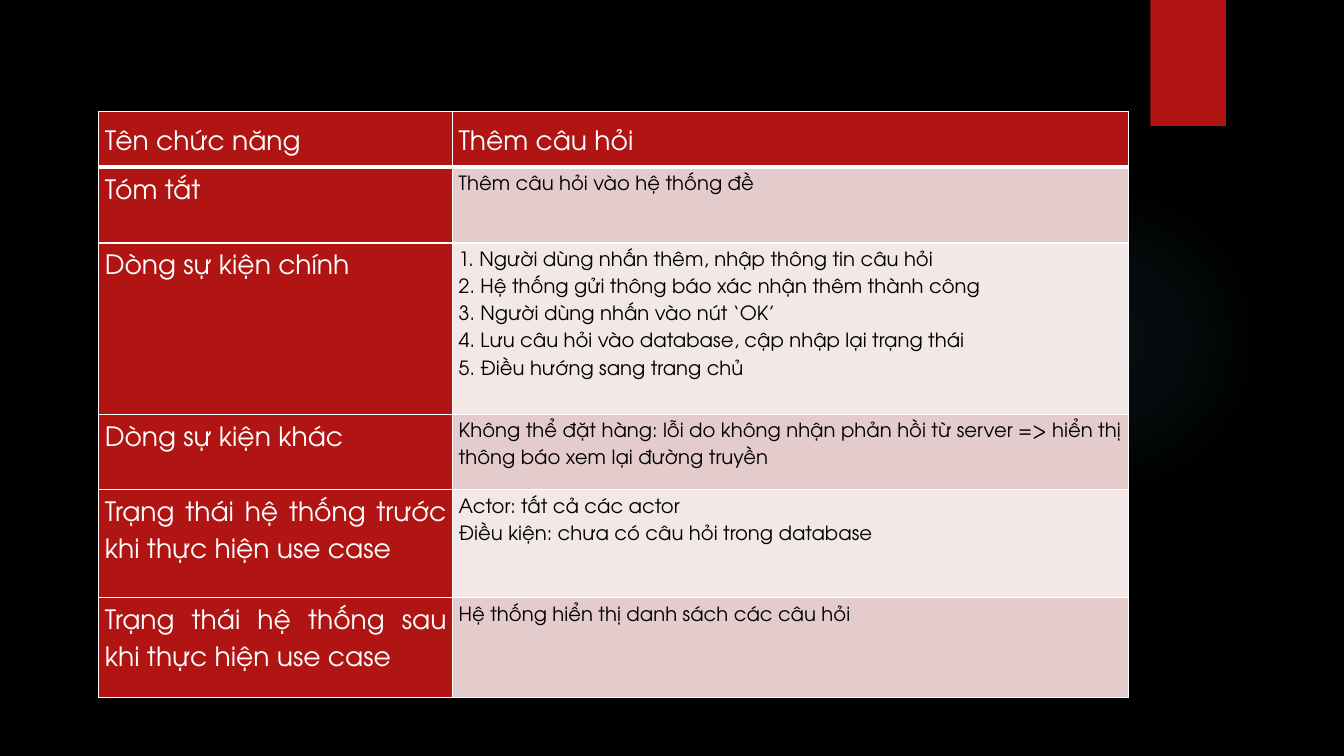
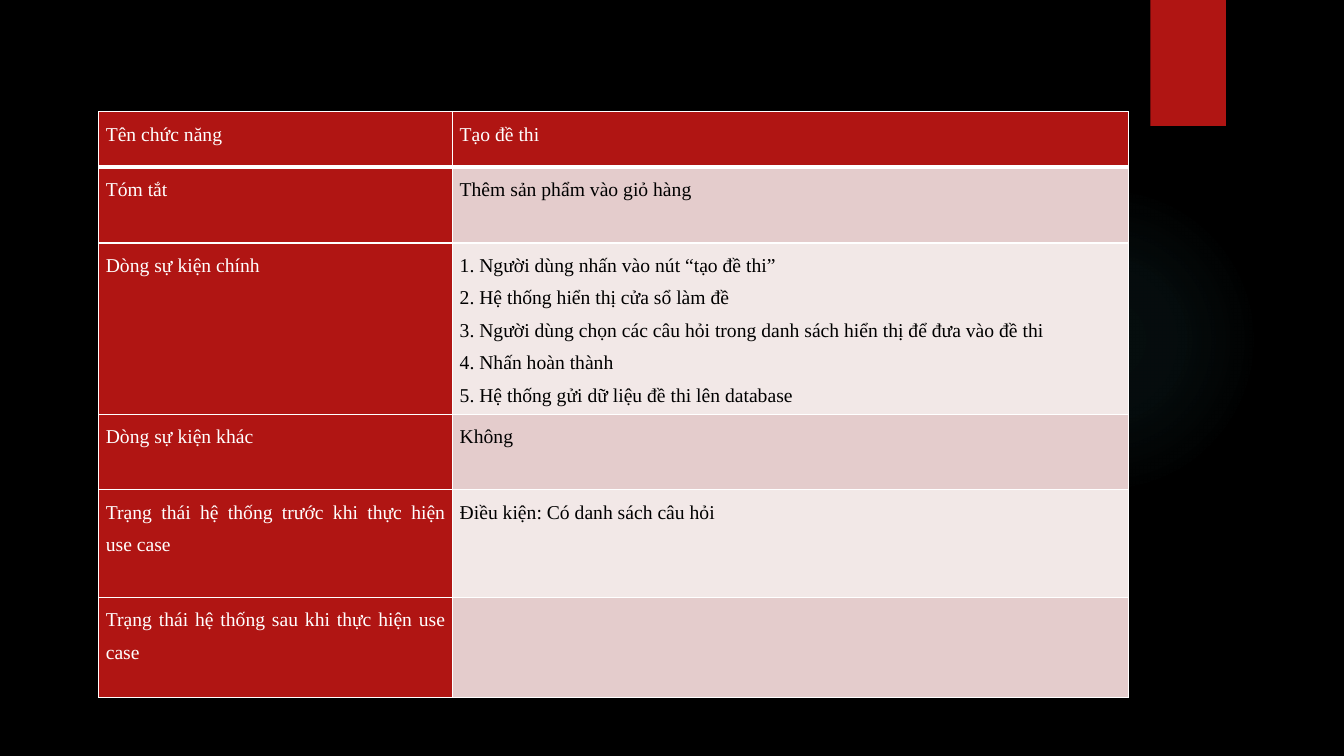
from dataclasses import dataclass

from pptx import Presentation
from pptx.dml.color import RGBColor
from pptx.enum import shapes, text
from pptx.oxml import parse_xml
from pptx.oxml.ns import nsdecls
from pptx.util import Inches, Pt


@dataclass(frozen=True)
class Theme:
    background: str = "000000"
    red: str = "B01513"
    glow: str = "50B9C1"
    white: str = "FFFFFF"
    black: str = "000000"
    bands: tuple = ("E4CCCC", "F2E8E7")
    line: float = 1
    header_line: float = 3
    spacing: float = 1.5


theme = Theme()

LABELS = [
    "Tên chức năng",
    "Tóm tắt",
    "Dòng sự kiện chính",
    "Dòng sự kiện khác",
    "Trạng thái hệ thống trước khi thực hiện use case",
    "Trạng thái hệ thống sau khi thực hiện use case",
]
COLS = [3.51, 6.7]
ROWS = [0.55, 0.75, 1.7, 0.75, 1.07, 0.99]

USE_CASES = [
    {
        "font": "TeX Gyre Adventor",
        "label_size": 19,
        "size": 14,
        "insets": (0.06, 0, 0.06, 0.12),
        "header_anchor": text.MSO_ANCHOR.BOTTOM,
        "values": [
            ["Thêm câu hỏi"],
            ["Thêm câu hỏi vào hệ thống đề"],
            [
                "1. Người dùng nhấn thêm, nhập thông tin câu hỏi",
                "2. Hệ thống gửi thông báo xác nhận thêm thành công",
                "3. Người dùng nhấn vào nút ‘OK’",
                "4. Lưu câu hỏi vào database, cập nhập lại trạng thái",
                "5. Điều hướng sang trang chủ",
            ],
            ["Không thể đặt hàng: lỗi do không nhận phản hồi từ server => "
             "hiển thị thông báo xem lại đường truyền"],
            ["Actor: tất cả các actor", "Điều kiện: chưa có câu hỏi trong database"],
            ["Hệ thống hiển thị danh sách các câu hỏi"],
        ],
    },
    {
        "font": "Times New Roman",
        "label_size": 14,
        "size": 14,
        "insets": (0.07, 0.01, 0.07, 0),
        "header_anchor": text.MSO_ANCHOR.TOP,
        "values": [
            ["Tạo đề thi"],
            ["Thêm sản phẩm vào giỏ hàng"],
            [
                "1. Người dùng nhấn vào nút “tạo đề thi”",
                "2. Hệ thống hiển thị cửa sổ làm đề",
                "3. Người dùng chọn các câu hỏi trong danh sách hiển thị để đưa vào đề thi",
                "4. Nhấn hoàn thành",
                "5. Hệ thống gửi dữ liệu đề thi lên database",
            ],
            ["Không"],
            ["Điều kiện: Có danh sách câu hỏi"],
            [],
        ],
    },
]


def add_master_shape(s, master, kind, left, top, width, height):
    sp = s.shapes.add_shape(kind, Inches(left), Inches(top), Inches(width), Inches(height))
    sp.shadow.inherit = False
    sp.line.fill.background()
    master.shapes.element.append(sp.element)
    return sp


def format_cell(cell, fill, top_width, bottom_width):
    tc_pr = cell._tc.get_or_add_tcPr()
    widths = {"lnL": theme.line, "lnR": theme.line, "lnT": top_width, "lnB": bottom_width}
    for side, width in widths.items():
        tc_pr.append(parse_xml(
            f'<a:{side} {nsdecls("a")} w="{Pt(width)}"><a:solidFill>'
            f'<a:srgbClr val="{theme.white}"/></a:solidFill></a:{side}>'))
    cell.fill.solid()
    cell.fill.fore_color.rgb = RGBColor.from_string(fill)


prs = Presentation()
prs.slide_width = Inches(13.33)
prs.slide_height = Inches(7.5)
blank = prs.slide_layouts[6]
master = prs.slide_master
master.background.fill.solid()
master.background.fill.fore_color.rgb = RGBColor.from_string(theme.background)

for index, case in enumerate(USE_CASES):
    s = prs.slides.add_slide(blank)

    if index == 0:
        glow = add_master_shape(s, master, shapes.MSO_SHAPE.OVAL, 9.41, 1.83, 3.08, 3.08)
        glow.fill.gradient()
        stops = "".join(
            f'<a:gs pos="{pos * 1000}"><a:srgbClr val="{theme.glow}">'
            f'<a:alpha val="{alpha * 1000}"/></a:srgbClr></a:gs>'
            for pos, alpha in [(0, 7), (36, 6), (69, 0), (100, 0)])
        sp_pr = glow.element.spPr
        sp_pr.replace(sp_pr.find("{*}gradFill"), parse_xml(
            f'<a:gradFill {nsdecls("a")}><a:gsLst>{stops}</a:gsLst><a:path path="circle">'
            '<a:fillToRect l="50000" t="50000" r="50000" b="50000"/></a:path></a:gradFill>'))
        ribbon = add_master_shape(s, master, shapes.MSO_SHAPE.RECTANGLE, 11.41, 0, 0.75, 1.25)
        ribbon.fill.solid()
        ribbon.fill.fore_color.rgb = RGBColor.from_string(theme.red)

    table = s.shapes.add_table(
        len(ROWS), len(COLS), Inches(0.98), Inches(1.11),
        Inches(sum(COLS)), Inches(sum(ROWS))).table
    for column, width in zip(table.columns, COLS):
        column.width = Inches(width)

    for i, (label, value) in enumerate(zip(LABELS, case["values"])):
        table.rows[i].height = Inches(ROWS[i])
        for j, lines in enumerate([[label], value]):
            cell = table.cell(i, j)
            heading = i == 0 or j == 0
            format_cell(
                cell,
                theme.red if heading else theme.bands[(i - 1) % 2],
                theme.header_line if i == 1 else theme.line,
                theme.header_line if i == 0 else theme.line)
            (cell.margin_left, cell.margin_top,
             cell.margin_right, cell.margin_bottom) = map(Inches, case["insets"])
            cell.vertical_anchor = case["header_anchor"] if i == 0 else text.MSO_ANCHOR.TOP
            tf = cell.text_frame
            for n, line in enumerate(lines):
                p = tf.add_paragraph() if n else tf.paragraphs[0]
                p.alignment = text.PP_ALIGN.JUSTIFY
                p.line_spacing = theme.spacing
                r = p.add_run()
                r.text = line
                r.font.name = case["font"]
                r.font.size = Pt(case["label_size"] if heading else case["size"])
                r.font.color.rgb = RGBColor.from_string(theme.white if heading else theme.black)

prs.save("out.pptx")
